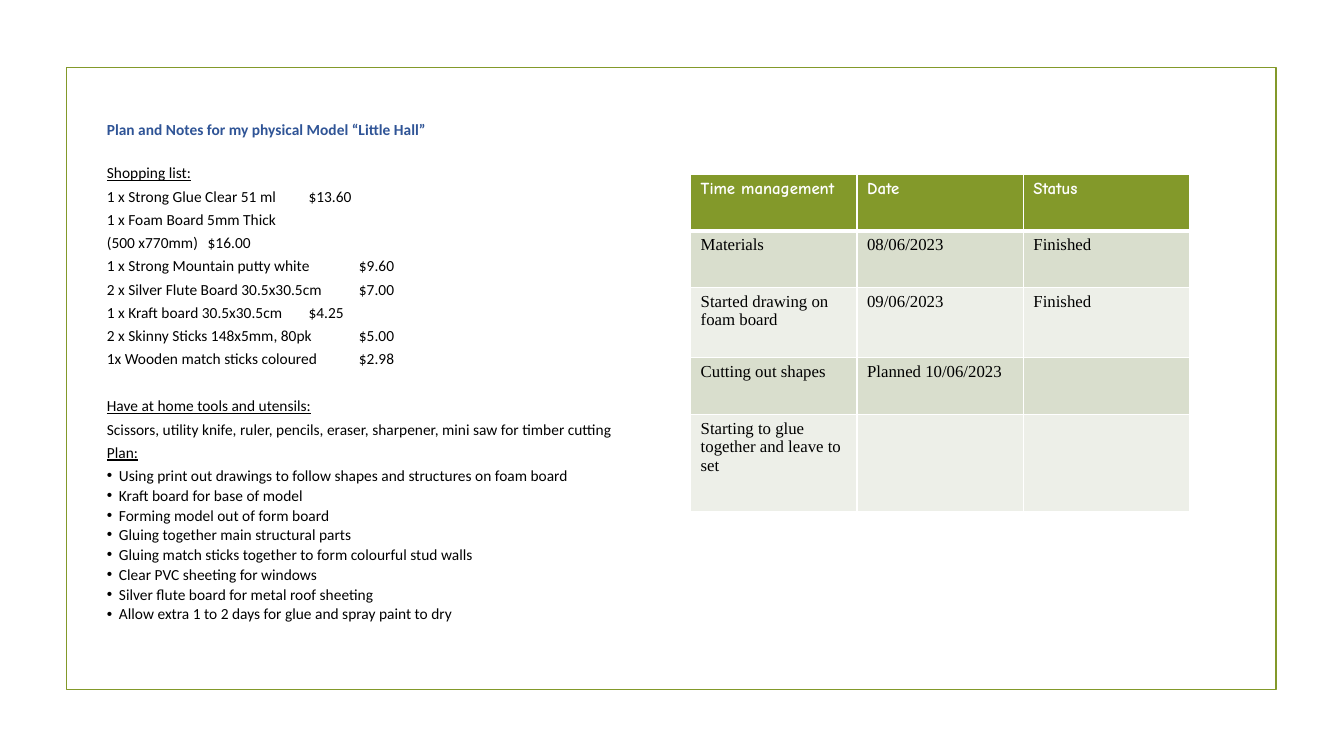
from lxml.etree import SubElement
from pptx import Presentation
from pptx.dml.color import RGBColor
from pptx.enum.shapes import MSO_SHAPE
from pptx.enum.text import MSO_ANCHOR, MSO_AUTO_SIZE, PP_ALIGN
from pptx.oxml.ns import qn
from pptx.util import Inches, Pt

COLORS = {
    "green": "83992A",
    "blue": "2F5496",
    "black": "000000",
    "white": "FFFFFF",
    "dark_band": "D9DECD",
    "light_band": "EDEFE8",
}

HEADINGS = ("Shopping list:", "Have at home tools and utensils:", "Plan:")
SHOPPING = [
    "1 x Strong Glue Clear 51 ml\t$13.60",
    "1 x Foam Board 5mm Thick",
    "(500 x770mm)\t$16.00",
    "1 x Strong Mountain putty white\t$9.60",
    "2 x Silver Flute Board 30.5x30.5cm\t$7.00",
    "1 x Kraft board 30.5x30.5cm\t$4.25",
    "2 x Skinny Sticks 148x5mm, 80pk\t$5.00",
    "1x Wooden match sticks coloured\t$2.98",
]
TOOLS = ["Scissors, utility knife, ruler, pencils, eraser, sharpener, mini saw for timber cutting"]
PLAN = [
    "Using print out drawings to follow shapes and structures on foam board",
    "Kraft board for base of model",
    "Forming model out of form board",
    "Gluing together main structural parts",
    "Gluing match sticks together to form colourful stud walls",
    "Clear PVC sheeting for windows",
    "Silver flute board for metal roof sheeting",
    "Allow extra 1 to 2 days for glue and spray paint to dry",
]
SCHEDULE = [
    ("Time management", "Date", "Status"),
    ("Materials", "08/06/2023", "Finished"),
    ("Started drawing on foam board", "09/06/2023", "Finished"),
    ("Cutting out shapes", "Planned 10/06/2023", ""),
    ("Starting to glue together and leave to set", "", ""),
]
ROW_HEIGHTS = (0.56, 0.56, 0.7, 0.56, 0.97)
COLUMN_WIDTH = 1.65


def rgb(name):
    return RGBColor.from_string(COLORS[name])


def style_runs(paragraph, font, size, color, bold=False, underline=False):
    for run in paragraph.runs:
        run.font.name = font
        run.font.size = Pt(size)
        run.font.color.rgb = rgb(color)
        run.font.bold = bold
        run.font.underline = underline


def space(paragraph, before=0, after=0):
    paragraph.alignment = PP_ALIGN.LEFT
    paragraph.line_spacing = 1.07
    paragraph.space_before = Pt(before)
    paragraph.space_after = Pt(after)


def place(placeholder, left, top, width, height):
    placeholder.left, placeholder.top = Inches(left), Inches(top)
    placeholder.width, placeholder.height = Inches(width), Inches(height)
    frame = placeholder.text_frame
    frame.word_wrap = True
    frame.auto_size = MSO_AUTO_SIZE.NONE
    frame.vertical_anchor = MSO_ANCHOR.TOP
    return frame


def add_border(slide):
    border = slide.shapes.add_shape(
        MSO_SHAPE.RECTANGLE, Inches(0.66), Inches(0.67), Inches(12), Inches(6.17))
    border.shadow.inherit = False
    border.fill.background()
    border.line.color.rgb = rgb("green")
    border.line.width = Pt(1.25)


def write_title(title):
    frame = place(title, 0.96, 1.13, 5.32, 0.35)
    frame.text = "Plan and Notes for my physical Model “Little Hall”"
    space(frame.paragraphs[0])
    style_runs(frame.paragraphs[0], "Calibri", 11, "blue", bold=True)


def set_marker(paragraph, bulleted):
    properties = paragraph._p.get_or_add_pPr()
    hang = Inches(0.12) if bulleted else 0
    properties.set("marL", str(hang))
    properties.set("indent", str(-hang))
    if bulleted:
        SubElement(properties, qn("a:buFont"), typeface="Arial")
        SubElement(properties, qn("a:buChar"), char="•")
    else:
        SubElement(properties, qn("a:buNone"))
    if "\t" in paragraph.text:
        stops = SubElement(properties, qn("a:tabLst"))
        SubElement(stops, qn("a:tab"), pos=str(Inches(3.5)), algn="l")


def write_notes(body):
    frame = place(body, 0.96, 1.56, 5.32, 4.81)
    shopping, tools, plan = HEADINGS
    lines = [shopping, *SHOPPING, tools, *TOOLS, plan, *PLAN]
    frame.text = "\n".join(lines)
    for line, paragraph in zip(lines, frame.paragraphs):
        bulleted = line in PLAN
        tight = bulleted and line != PLAN[-1]
        space(paragraph, before=16.8 if line == tools else 0, after=0 if tight else 2.5)
        set_marker(paragraph, bulleted)
        style_runs(paragraph, "Calibri", 11, "black", underline=line in HEADINGS)


def outline_cell(cell, bottom):
    properties = cell._tc.get_or_add_tcPr()
    for index, (side, width) in enumerate((("L", 1), ("R", 1), ("T", 1), ("B", bottom))):
        edge = SubElement(properties, qn(f"a:ln{side}"), w=str(Pt(width)))
        fill = SubElement(edge, qn("a:solidFill"))
        SubElement(fill, qn("a:srgbClr"), val=COLORS["white"])
        properties.insert(index, edge)


def add_schedule(slide):
    table = slide.shapes.add_table(
        len(SCHEDULE), len(SCHEDULE[0]), Inches(6.85), Inches(1.73),
        Inches(COLUMN_WIDTH * len(SCHEDULE[0])), Inches(sum(ROW_HEIGHTS))).table
    for column in table.columns:
        column.width = Inches(COLUMN_WIDTH)
    for row, (entries, height) in enumerate(zip(SCHEDULE, ROW_HEIGHTS)):
        table.rows[row].height = Inches(height)
        header = row == 0
        band = "green" if header else "dark_band" if row % 2 else "light_band"
        for column, entry in enumerate(entries):
            cell = table.cell(row, column)
            cell.fill.solid()
            cell.fill.fore_color.rgb = rgb(band)
            outline_cell(cell, bottom=3 if header else 1)
            if entry:
                cell.text_frame.text = entry
                style_runs(cell.text_frame.paragraphs[0],
                           "Comic Neue" if header else "Times New Roman", 12,
                           "white" if header else "black", bold=header)


def main():
    deck = Presentation()
    deck.slide_width, deck.slide_height = Inches(13.33), Inches(7.5)
    slide = deck.slides.add_slide(deck.slide_layouts[1])
    add_border(slide)
    write_title(slide.shapes.title)
    write_notes(slide.placeholders[1])
    add_schedule(slide)
    deck.save("out.pptx")


if __name__ == "__main__":
    main()
